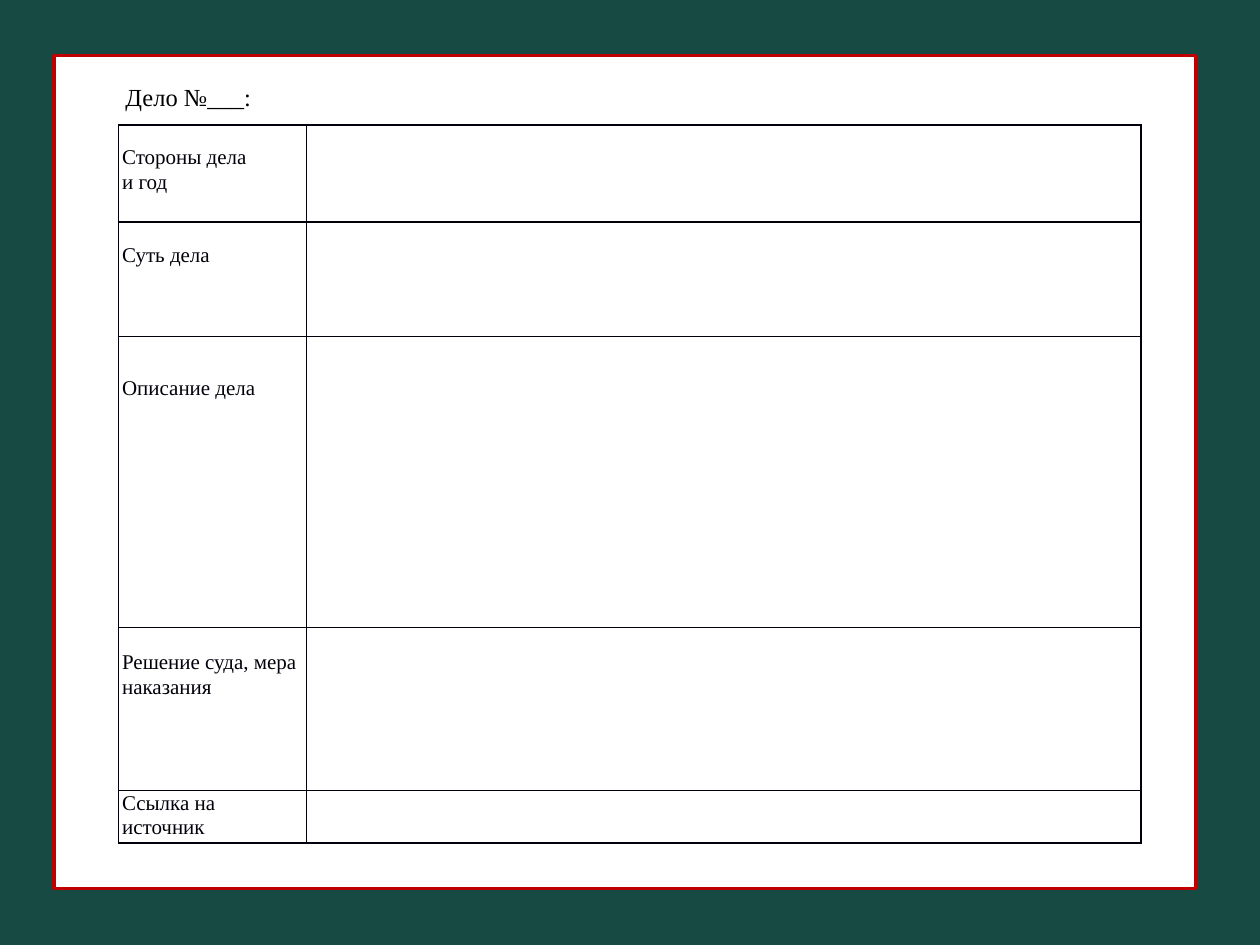
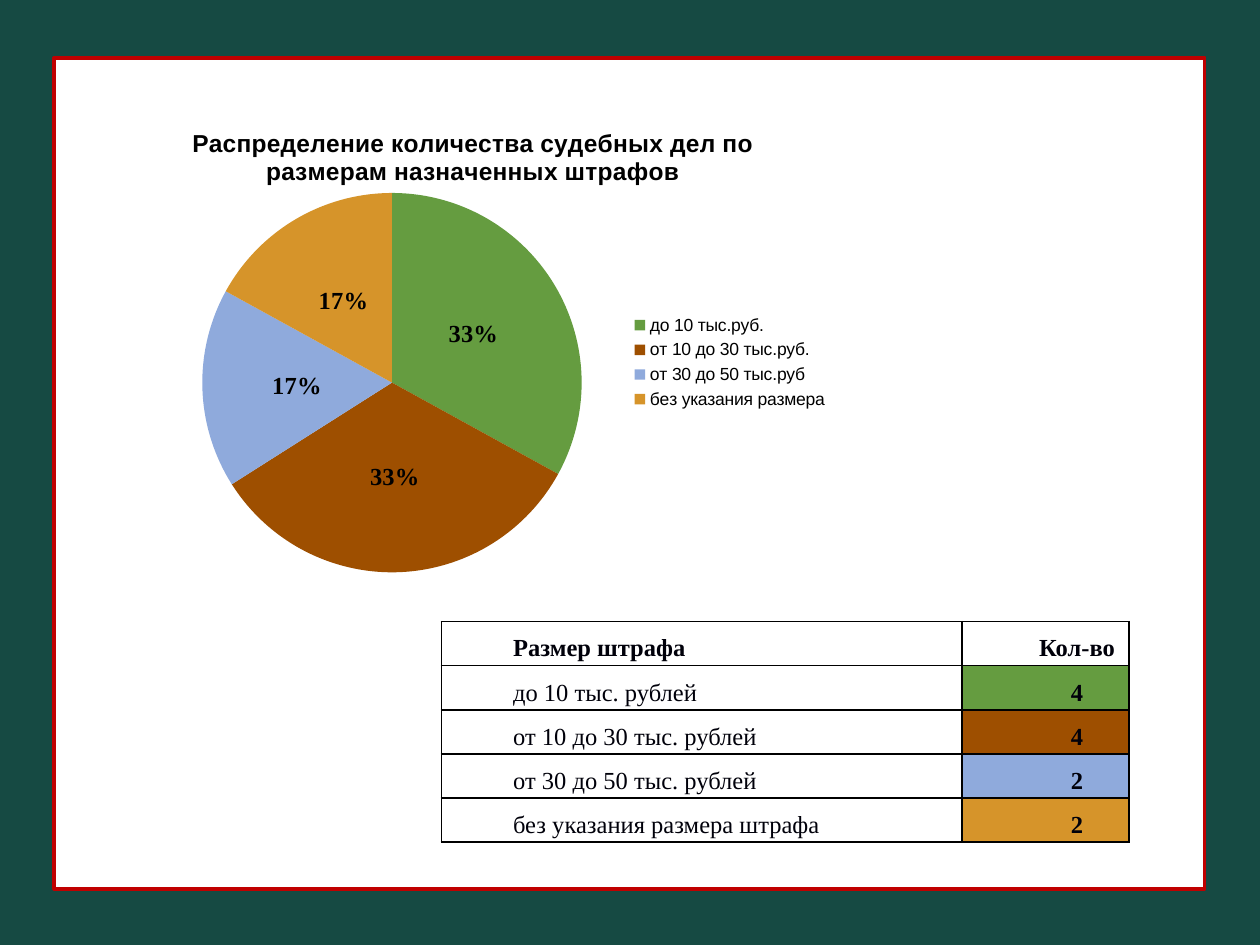
from lxml.etree import SubElement
from pptx import Presentation
from pptx.chart.data import CategoryChartData
from pptx.dml.color import RGBColor
from pptx.enum.chart import XL_CHART_TYPE, XL_LABEL_POSITION, XL_LEGEND_POSITION
from pptx.enum.shapes import MSO_SHAPE
from pptx.enum.text import MSO_ANCHOR, MSO_AUTO_SIZE, PP_ALIGN
from pptx.oxml import parse_xml
from pptx.oxml.ns import nsdecls, qn
from pptx.util import Pt

HUES = {
    "back": "164A43", "panel": "FFFFFF", "frame": "C00000",
    "ink": "00000A", "black": "000000",
    "green": "659C40", "brown": "9E4F00", "blue": "8FAADC", "gold": "D6942A",
}
RGB = {name: RGBColor.from_string(code) for name, code in HUES.items()}
SERIF, SANS = "Times New Roman", "Arial"


def style(item, values, hue=None):
    for name, value in values.items():
        setattr(item, name, value)
    if hue:
        item.color.rgb = RGB[hue]


def edge(cell, hue):
    props = cell._tc.get_or_add_tcPr()
    for side in ("lnL", "lnR", "lnT", "lnB"):
        props.append(parse_xml(
            f'<a:{side} {nsdecls("a")} w="{Pt(1)}"><a:solidFill>'
            f'<a:srgbClr val="{HUES[hue]}"/></a:solidFill></a:{side}>'))


deck = Presentation()
style(deck, {"slide_width": Pt(720), "slide_height": Pt(540)})
ground = deck.slide_master.background.fill
ground.solid()
ground.fore_color.rgb = RGB["back"]

form = deck.slides.add_slide(deck.slide_layouts[5])
fines = deck.slides.add_slide(deck.slide_layouts[6])
for slide, top, width, height in ((form, 31.7, 652.3, 476), (fines, 33, 657.4, 475)):
    panel = slide.shapes.add_shape(
        MSO_SHAPE.RECTANGLE, Pt(31), Pt(top), Pt(width), Pt(height))
    panel.shadow.inherit = False
    panel.fill.solid()
    panel.fill.fore_color.rgb = RGB["panel"]
    style(panel.line, {"width": Pt(2)}, "frame")
    slide.shapes._spTree.insert(2, panel._element)

title = form.shapes.title
style(title, {"left": Pt(64.5), "top": Pt(43.5), "width": Pt(91), "height": Pt(24.5)})
title.text = "Дело №___:"
style(title.text_frame, {
    "word_wrap": False, "auto_size": MSO_AUTO_SIZE.NONE,
    "vertical_anchor": MSO_ANCHOR.TOP})
para = title.text_frame.paragraphs[0]
para.alignment = PP_ALIGN.LEFT
style(para.font, {"name": SERIF, "size": Pt(14)}, "black")

fields = [
    ("Стороны дела\nи год", 55.4, 11.5),
    ("Суть дела", 65.4, 12),
    ("Описание дела", 166.3, 22.5),
    ("Решение суда, мера наказания", 93.2, 13),
    ("Ссылка на источник", 30.2, 0),
]
grid = form.shapes.add_table(
    len(fields), 2, Pt(67.6), Pt(71.4), Pt(584.5), Pt(410.5)).table
style(grid, {"first_row": False, "horz_banding": False})
for col, width in zip(grid.columns, (107.5, 477)):
    col.width = Pt(width)
for row, (label, height, gap) in zip(grid.rows, fields):
    row.height = Pt(height)
    for cell in row.cells:
        edge(cell, "ink")
        cell.fill.solid()
        cell.fill.fore_color.rgb = RGB["panel"]
    cell = row.cells[0]
    cell.text = label
    style(cell, {
        "margin_left": Pt(2.2), "margin_right": Pt(5), "margin_top": Pt(gap),
        "margin_bottom": 0, "vertical_anchor": MSO_ANCHOR.TOP})
    for para in cell.text_frame.paragraphs:
        para.line_spacing = 1.05
        style(para.font, {"name": SERIF, "size": Pt(12)}, "ink")

groups = [
    ("до 10 тыс.руб.", 33, "до 10 тыс. рублей", "4", "green"),
    ("от 10 до 30 тыс.руб.", 33, "от 10 до 30 тыс. рублей", "4", "brown"),
    ("от 30 до 50 тыс.руб", 17, "от 30 до 50 тыс. рублей", "2", "blue"),
    ("без указания размера", 17, "без указания размера штрафа", "2", "gold"),
]
data = CategoryChartData()
data.categories = [group[0] for group in groups]
data.add_series("Series 1", [group[1] for group in groups])
chart = fines.shapes.add_chart(
    XL_CHART_TYPE.PIE, Pt(60), Pt(60.5), Pt(420.5), Pt(293), data).chart
style(chart.font, {"name": SANS, "size": Pt(10)}, "black")
style(chart, {"has_title": True, "has_legend": True})
style(chart.legend, {"position": XL_LEGEND_POSITION.RIGHT, "include_in_layout": False})
head = chart.chart_title.text_frame
head.text = "Распределение количества судебных дел по размерам назначенных штрафов"
style(head.paragraphs[0].runs[0].font,
      {"name": SANS, "size": Pt(14), "bold": True}, "black")

plot = chart.plots[0]
style(plot, {"vary_by_categories": True, "has_data_labels": True})
style(plot.data_labels, {
    "show_percentage": True, "show_value": False, "number_format": "0%",
    "number_format_is_linked": False, "position": XL_LABEL_POSITION.CENTER})
style(plot.data_labels.font, {"name": SERIF, "size": Pt(14), "bold": True}, "black")
for spot, group in enumerate(groups):
    fill = plot.series[0].points[spot].format.fill
    fill.solid()
    fill.fore_color.rgb = RGB[group[4]]

area = chart._chartSpace.chart.plotArea
for old in area.findall(qn("c:layout")):
    area.remove(old)
frame = parse_xml(f'<c:layout {nsdecls("c")}><c:manualLayout/></c:layout>')
for tag, val in (("layoutTarget", "inner"), ("xMode", "edge"), ("yMode", "edge"),
                 ("x", "0.12"), ("y", "0.17"), ("w", "0.54"), ("h", "0.74")):
    SubElement(frame[0], qn(f"c:{tag}")).set("val", val)
area.insert(0, frame)

lines = [("Размер штрафа", "Кол-во", None)] + [group[2:] for group in groups]
tally = fines.shapes.add_table(
    len(lines), 2, Pt(252.2), Pt(355.2), Pt(393), Pt(126)).table
style(tally, {"first_row": False, "horz_banding": False})
for col, width in zip(tally.columns, (297.5, 95.5)):
    col.width = Pt(width)
for row, (label, count, hue) in zip(tally.rows, lines):
    row.height = Pt(25.2)
    for cell, text, align, bold, tint in (
            (row.cells[0], label, PP_ALIGN.JUSTIFY, hue is None, None),
            (row.cells[1], count, PP_ALIGN.CENTER, True, hue)):
        edge(cell, "black")
        if tint:
            cell.fill.solid()
            cell.fill.fore_color.rgb = RGB[tint]
        else:
            cell.fill.background()
        style(cell, {
            "text": text, "margin_left": Pt(5), "margin_right": Pt(5),
            "margin_top": 0, "margin_bottom": 0})
        para = cell.text_frame.paragraphs[0]
        style(para, {"alignment": align, "line_spacing": 1.5})
        para._p.get_or_add_pPr().set("marL", str(Pt(36)))
        style(para.font, {"name": SERIF, "size": Pt(14), "bold": bold}, "ink")

deck.save("out.pptx")
